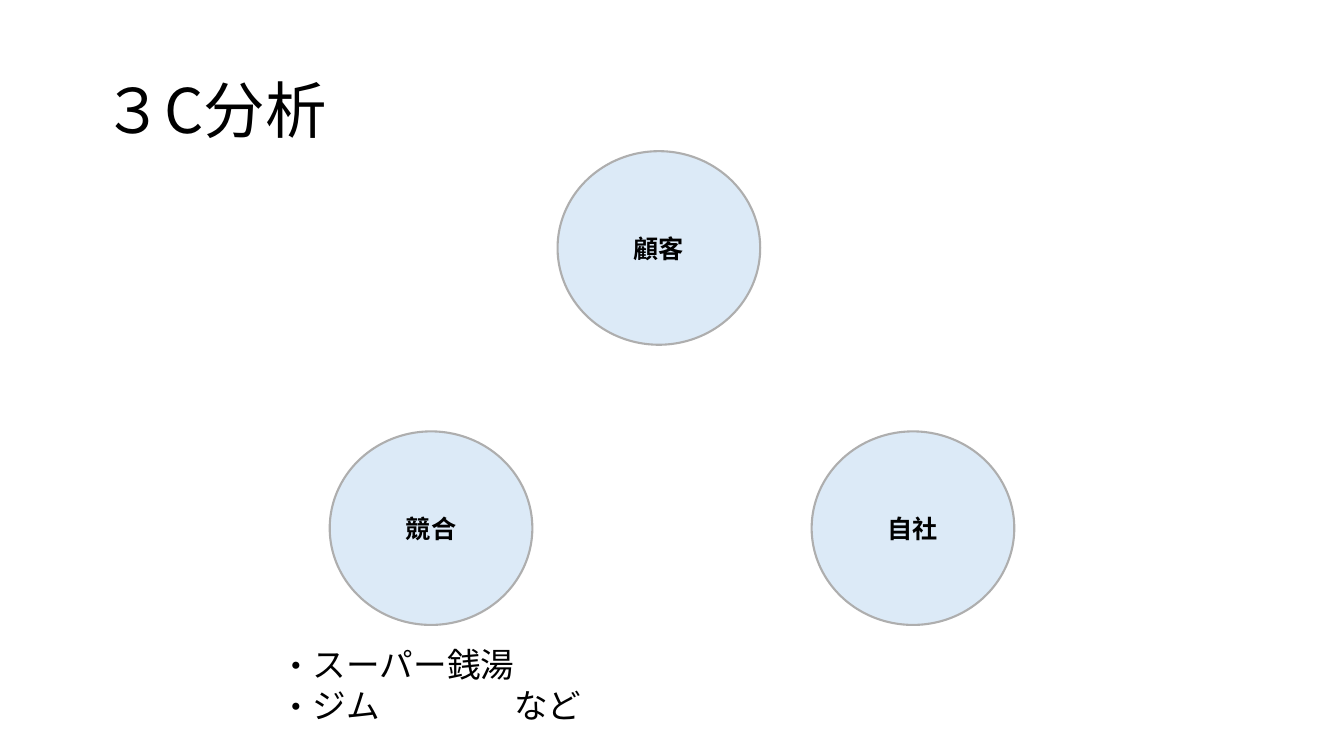
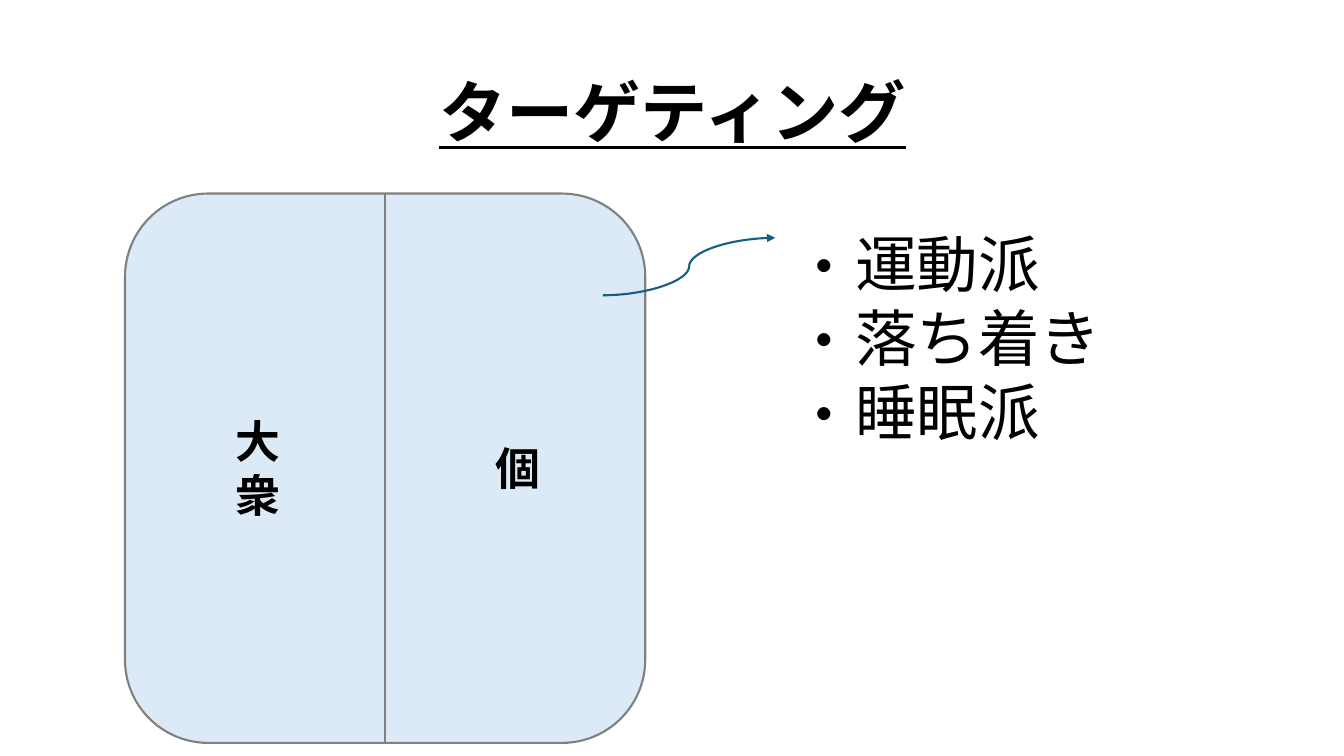
from lxml.etree import SubElement as Sub
from pptx import Presentation
from pptx.dml.color import RGBColor as RGB
from pptx.enum.shapes import MSO_CONNECTOR as Link, MSO_SHAPE as Kind
from pptx.enum.text import MSO_ANCHOR as Anchor, MSO_AUTO_SIZE as Fit, PP_ALIGN as Align
from pptx.oxml.ns import qn
from pptx.util import Inches, Pt

BLACK = RGB(0x00, 0x00, 0x00)
PALE = RGB(0xDC, 0xEA, 0xF7)
SILVER = RGB(0xAE, 0xAE, 0xAE)
GRAY = RGB(0x80, 0x80, 0x80)
TEAL = RGB(0x15, 0x60, 0x82)
FONT = "Noto Sans CJK JP"


def write(frame, text, size=18, bold=False, line=False, align=Align.LEFT,
          anchor=Anchor.TOP, lead=1.0, dot=None, tab=None):
    """Fill a text frame, one paragraph per line of text."""
    frame.word_wrap = True
    frame.auto_size = Fit.NONE
    frame.vertical_anchor = anchor
    for i, row in enumerate(text.split("\n")):
        para = frame.add_paragraph() if i else frame.paragraphs[0]
        para.alignment, para.line_spacing = align, lead
        para.space_before = Pt(0)
        run = para.add_run()
        run.text = row
        font = run.font
        font.name, font.size, font.bold = FONT, Pt(size), bold
        font.underline, font.color.rgb = line, BLACK
        Sub(font._element, qn("a:ea"), typeface=FONT)
        props = para._p.get_or_add_pPr()
        if dot:
            props.set("marL", str(Pt(size)))
            props.set("indent", str(-Pt(size)))
            Sub(props, qn("a:buFont"), typeface=FONT)
            Sub(props, qn("a:buChar"), char=dot)
        if tab:
            stops = Sub(props, qn("a:tabLst"))
            Sub(stops, qn("a:tab"), pos=str(Inches(tab)), algn="l")


class Deck:
    """Hold the shared style and the current slide."""

    def __init__(self):
        """Start a wide deck."""
        self.deck = Presentation()
        self.deck.slide_width = Inches(13.33)
        self.deck.slide_height = Inches(7.5)

    def place(self, shape, box):
        """Move a shape to a box given in inches."""
        shape.left, shape.top, shape.width, shape.height = map(Inches, box)

    def page(self, title, box, **form):
        """Add a slide with its title."""
        self.slide = self.deck.slides.add_slide(self.deck.slide_layouts[1])
        head = self.slide.shapes.title
        self.place(head, box)
        write(head.text_frame, title, anchor=Anchor.MIDDLE, **form)

    def items(self, text, box, **form):
        """Fill the body placeholder with a dotted list."""
        body = self.slide.placeholders[1]
        self.place(body, box)
        write(body.text_frame, text, dot="・", **form)

    def shape(self, kind, box, edge, text=None, round=None):
        """Add a pale shape with an outline."""
        item = self.slide.shapes.add_shape(kind, *map(Inches, box))
        item.shadow.inherit = False
        item.fill.solid()
        item.fill.fore_color.rgb = PALE
        item.line.color.rgb, item.line.width = edge, Pt(1.5)
        if round:
            item.adjustments[0] = round
        if text:
            write(item.text_frame, text, bold=True, align=Align.CENTER,
                  anchor=Anchor.MIDDLE)

    def label(self, text, box, **form):
        """Add a text box."""
        item = self.slide.shapes.add_textbox(*map(Inches, box))
        write(item.text_frame, text, **form)

    def link(self, kind, ends, color, arrow=False):
        """Add a line, with an arrowhead if asked."""
        item = self.slide.shapes.add_connector(kind, *map(Inches, ends))
        item.line.color.rgb, item.line.width = color, Pt(1.5)
        if arrow:
            Sub(item.line._get_or_add_ln(), qn("a:tailEnd"), type="triangle")
        Sub(item._element.spPr, qn("a:effectLst"))


def main():
    """Build both slides and save them."""
    deck = Deck()

    deck.page("３C分析", (0.92, 0.4, 11.5, 1.45), size=44, lead=0.9)
    for name, left, top in (("顧客", 5.53, 1.5), ("自社", 8.05, 4.28),
                            ("競合", 3.27, 4.28)):
        deck.shape(Kind.OVAL, (left, top, 2.01, 1.92), SILVER, name)
    deck.items("スーパー銭湯\nジム\tなど", (2.67, 6.34, 3.51, 1.1), size=24, tab=2.33)

    deck.page("ターゲティング", (3.44, 0.64, 6.46, 0.91), size=48, bold=True,
              line=True, align=Align.CENTER)
    left, top, width, height = 1.24, 1.92, 5.16, 5.45
    mid = left + width / 2
    deck.shape(Kind.ROUNDED_RECTANGLE, (left, top, width, height), GRAY, round=0.16)
    deck.link(Link.STRAIGHT, (mid, top, mid, top + height), GRAY)
    for text, x, tall in (("大衆", 2.24, 1.18), ("個", 4.82, 0.64)):
        y = top + (height - tall) / 2
        deck.label(text, (x, y, 0.68, tall), size=32, bold=True)
    deck.link(Link.CURVE, (5.98, 2.93, 7.69, 2.36), TEAL, arrow=True)
    deck.items("運動派\n落ち着き\n睡眠派", (7.77, 2.19, 4.37, 2.63), size=44)

    deck.deck.save("out.pptx")


if __name__ == "__main__":
    main()
